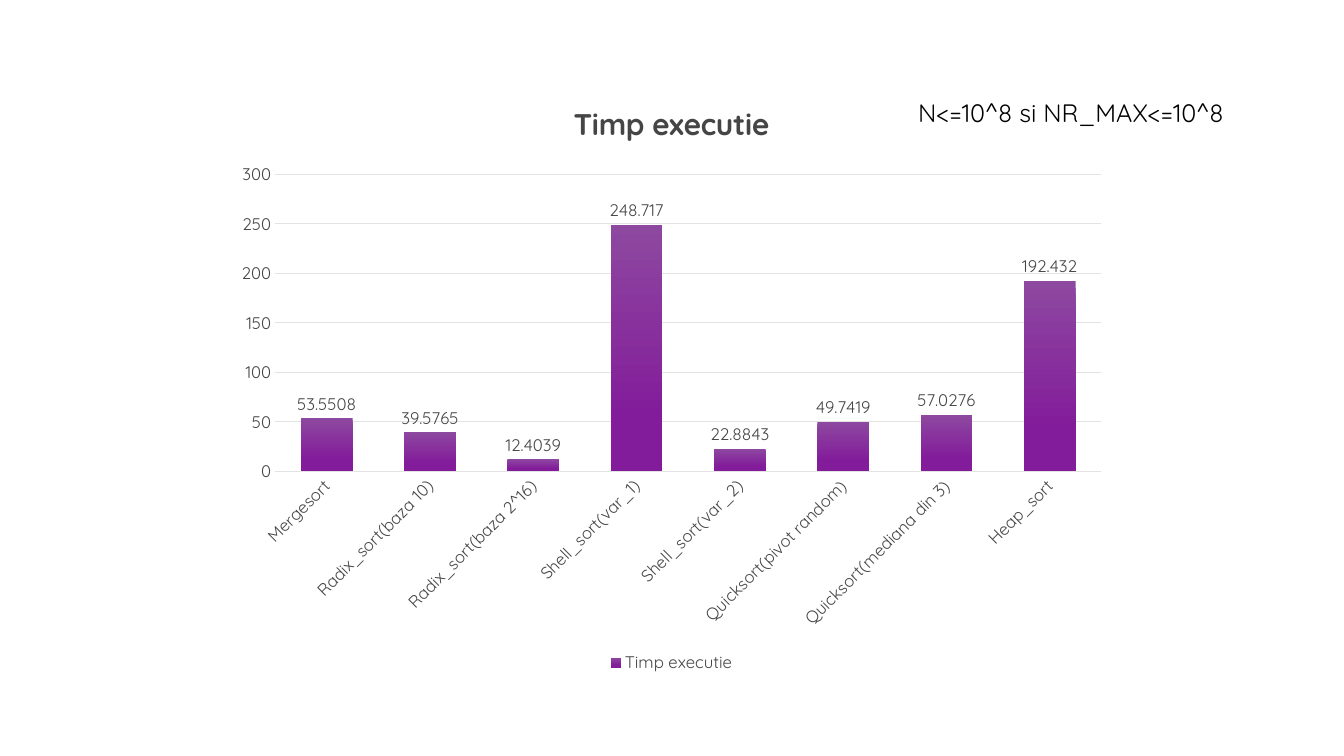
"""Build a slide with a column chart of sorting algorithm run times."""

from dataclasses import dataclass

from pptx import Presentation
from pptx.chart.axis import CategoryAxis, ValueAxis
from pptx.chart.chart import Chart
from pptx.chart.data import CategoryChartData
from pptx.chart.series import BarSeries
from pptx.dml.color import RGBColor
from pptx.enum.chart import (
    XL_CHART_TYPE,
    XL_LABEL_POSITION,
    XL_LEGEND_POSITION,
    XL_TICK_MARK,
)
from pptx.enum.text import MSO_AUTO_SIZE
from pptx.slide import Slide
from pptx.text.text import Font, TextFrame
from pptx.util import Emu, Pt

COLUMN_CLUSTERED = XL_CHART_TYPE.COLUMN_CLUSTERED
OUTSIDE_END = XL_LABEL_POSITION.OUTSIDE_END
LEGEND_BOTTOM = XL_LEGEND_POSITION.BOTTOM
NO_TICK = XL_TICK_MARK.NONE
FIT_SHAPE = MSO_AUTO_SIZE.SHAPE_TO_FIT_TEXT

EMU_PER_PX = 9525
FONT_NAME = "Quicksand"
LABEL_SIZE = 12
CHART_NAME = "Timp executie"

BLACK = RGBColor(0x00, 0x00, 0x00)
DARK_GRAY = RGBColor(0x45, 0x45, 0x45)
LIGHT_GRAY = RGBColor(0xE3, 0xE3, 0xE3)
LIGHT_PURPLE = RGBColor(0x8D, 0x48, 0xA0)
DEEP_PURPLE = RGBColor(0x83, 0x1C, 0x9A)


@dataclass(frozen=True)
class SortTiming:
    """Run time of one sorting algorithm."""

    algorithm: str
    seconds: float


TIMINGS = (
    SortTiming("Mergesort", 53.5508),
    SortTiming("Radix_sort(baza 10)", 39.5765),
    SortTiming("Radix_sort(baza 2^16)", 12.4039),
    SortTiming("Shell_sort(var_1)", 248.717),
    SortTiming("Shell_sort(var_2)", 22.8843),
    SortTiming("Quicksort(pivot random)", 49.7419),
    SortTiming("Quicksort(mediana din 3)", 57.0276),
    SortTiming("Heap_sort", 192.432),
)


def px(length: int) -> Emu:
    """Turn a length in px into EMU."""
    return Emu(length * EMU_PER_PX)


def format_font(
    font: Font,
    size: float = LABEL_SIZE,
    color: RGBColor = DARK_GRAY,
    bold: bool = False,
) -> None:
    """Set the typeface, size, colour and weight of a font."""
    font.name = FONT_NAME
    font.size = Pt(size)
    font.bold = bold
    font.color.rgb = color


def write_text(
    frame: TextFrame, text: str, *, size: float, color: RGBColor, bold: bool = False
) -> None:
    """Put one formatted run of text into a frame."""
    run = frame.paragraphs[0].add_run()
    run.text = text
    format_font(run.font, size, color, bold)


def style_axis(axis: CategoryAxis | ValueAxis) -> None:
    """Remove the tick marks of an axis and format its labels."""
    axis.major_tick_mark = NO_TICK
    axis.minor_tick_mark = NO_TICK
    format_font(axis.tick_labels.font)


def style_axes(chart: Chart) -> None:
    """Format both axes, the gridlines and the slanted category labels."""
    categories, values = chart.category_axis, chart.value_axis
    style_axis(categories)
    style_axis(values)
    values.minimum_scale, values.maximum_scale, values.major_unit = 0, 300, 50
    values.format.line.fill.background()
    values.has_major_gridlines = True
    for line in (categories.format.line, values.major_gridlines.format.line):
        line.color.rgb = LIGHT_GRAY
        line.width = Pt(0.75)
    categories._element.txPr.bodyPr.set("rot", "-2700000")


def style_columns(series: BarSeries) -> None:
    """Give the columns a purple gradient and value labels."""
    fill = series.format.fill
    fill.gradient()
    fill.gradient_angle = 270
    stops = ((0, LIGHT_PURPLE), (0.78, DEEP_PURPLE))
    for stop, (position, color) in zip(fill.gradient_stops, stops):
        stop.position = position
        stop.color.rgb = color
    labels = series.data_labels
    labels.show_value = True
    labels.position = OUTSIDE_END
    format_font(labels.font)


def add_timing_chart(slide: Slide) -> None:
    """Add the column chart of run times."""
    data = CategoryChartData()
    data.categories = [timing.algorithm for timing in TIMINGS]
    data.add_series(CHART_NAME, [timing.seconds for timing in TIMINGS])
    chart = slide.shapes.add_chart(
        COLUMN_CLUSTERED, px(213), px(76), px(853), px(569), data
    ).chart
    format_font(chart.font, 10, BLACK)
    chart.has_title = True
    write_text(
        chart.chart_title.text_frame, CHART_NAME, size=21.3, color=DARK_GRAY, bold=True
    )
    chart.has_legend = True
    chart.legend.position = LEGEND_BOTTOM
    chart.legend.include_in_layout = False
    format_font(chart.legend.font)
    plot = chart.plots[0]
    plot.vary_by_categories = False
    plot.gap_width = 100
    plot.overlap = -24
    style_axes(chart)
    style_columns(plot.series[0])


def add_limits_note(slide: Slide) -> None:
    """Add the note on the input limits."""
    frame = slide.shapes.add_textbox(px(865), px(88), px(362), px(38)).text_frame
    frame.word_wrap = True
    frame.auto_size = FIT_SHAPE
    write_text(frame, "N<=10^8 si NR_MAX<=10^8", size=18, color=BLACK)


def main() -> None:
    """Build and save the presentation."""
    presentation = Presentation()
    presentation.slide_width = px(1280)
    presentation.slide_height = px(720)
    slide = presentation.slides.add_slide(presentation.slide_layouts[6])
    add_timing_chart(slide)
    add_limits_note(slide)
    presentation.save("out.pptx")


if __name__ == "__main__":
    main()
